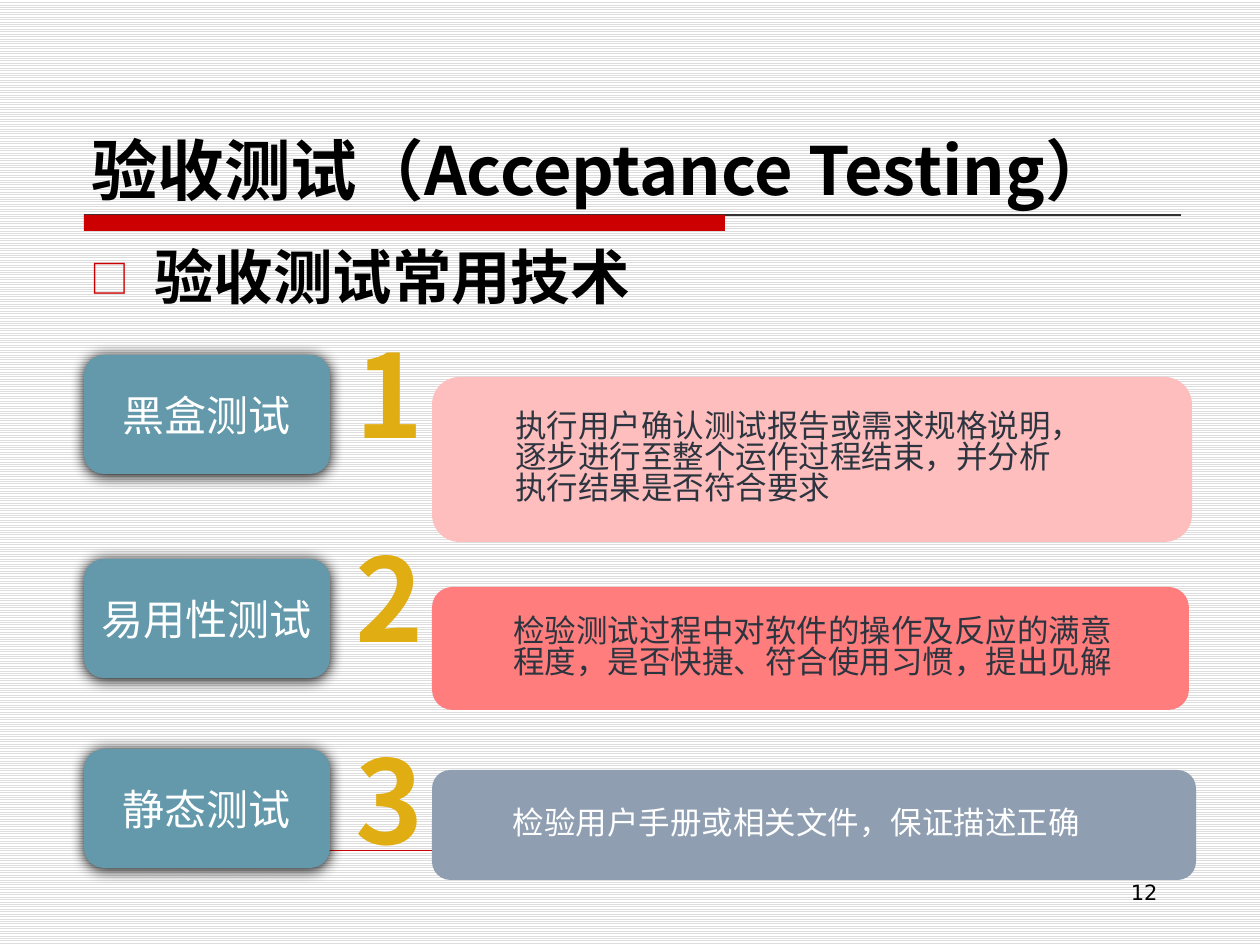
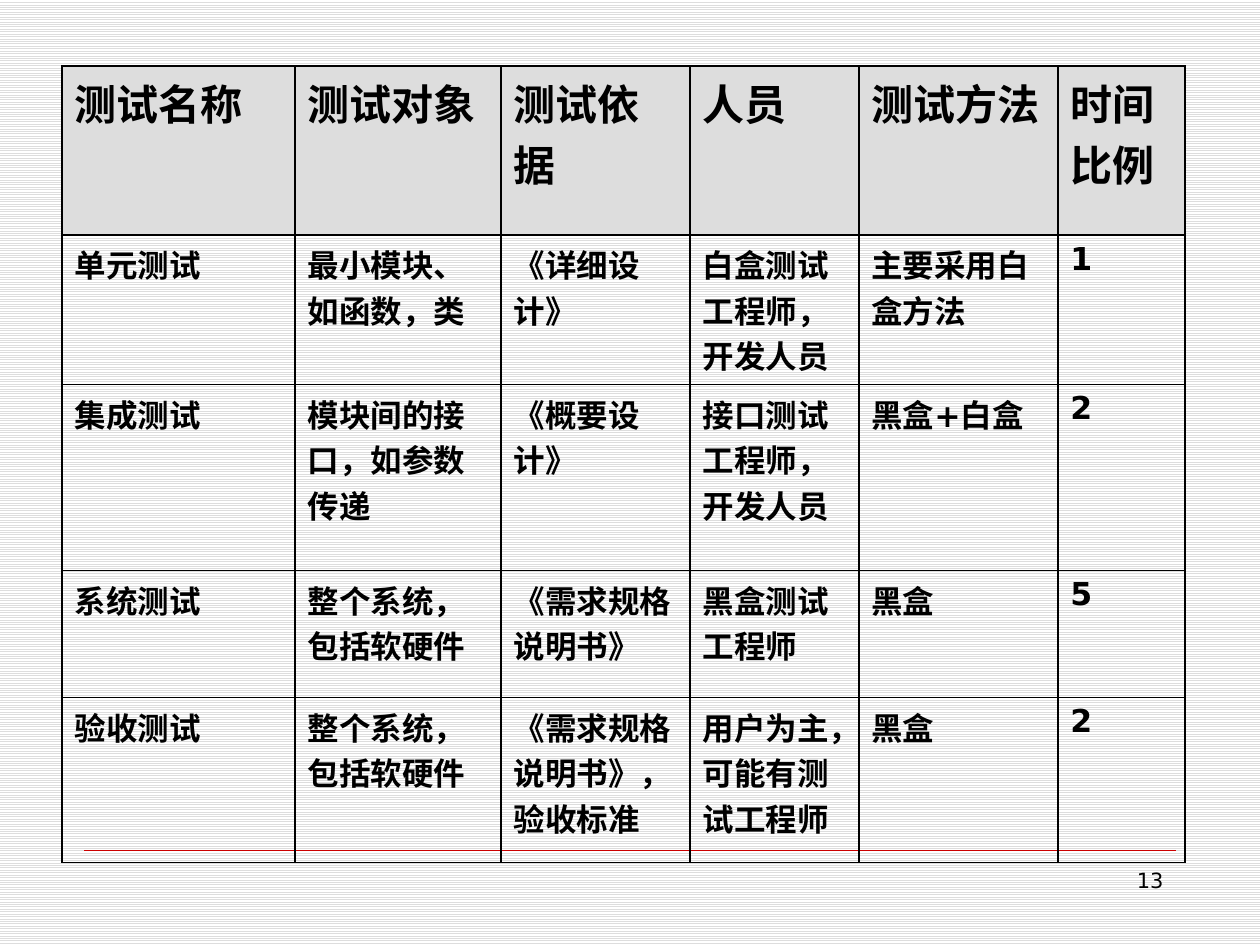
import pptx
import pptx.dml.color
import pptx.enum.dml
import pptx.enum.shapes
import pptx.enum.text
import pptx.oxml
import pptx.oxml.ns
import pptx.util
from lxml import etree

PIXEL = 914400 / 126
SLIDE_SIZE = (1260, 945)
LATIN_FONT = "DejaVu Sans"
CHINESE_FONT = "Noto Sans CJK SC"
NUMBER_FONT = "Noto Sans CJK JP"
BLACK, WHITE, RED, GREY = "000000", "FFFFFF", "CC0000", "DDDDDD"
TEAL, GOLD, INK = "6399AB", "E0AD12", "2C353F"
ALIGN = pptx.enum.text.PP_ALIGN
ANCHOR = pptx.enum.text.MSO_ANCHOR
SHAPE = pptx.enum.shapes.MSO_SHAPE

# label, label top, panel box, panel colour, text colour, panel lines
TECHNIQUES = [
    ("黑盒测试", 355, (432, 377, 760, 165), "FFBEBE", INK,
     ["执行用户确认测试报告或需求规格说明，", "逐步进行至整个运作过程结束，并分析", "执行结果是否符合要求"]),
    ("易用性测试", 559, (432, 587, 757, 123), "FF7D7D", INK,
     ["检验测试过程中对软件的操作及反应的满意", "程度，是否快捷、符合使用习惯，提出见解"]),
    ("静态测试", 749, (432, 770, 764, 110), "8F9FB1", WHITE,
     ["检验用户手册或相关文件，保证描述正确"]),
]
NUMBER_TOPS = [335, 539, 741]

COLUMN_WIDTHS = [233, 206, 189, 169, 199, 127]
ROW_HEIGHTS = [169, 149, 186, 127, 165]
TEST_ROWS = [
    ["测试名称", "测试对象", "测试依据", "人员", "测试方法", "时间比例"],
    ["单元测试", "最小模块、如函数，类", "《详细设计》", "白盒测试工程师，开发人员", "主要采用白盒方法", "1"],
    ["集成测试", "模块间的接口，如参数传递", "《概要设计》", "接口测试工程师，开发人员", "黑盒+白盒", "2"],
    ["系统测试", "整个系统，包括软硬件", "《需求规格说明书》", "黑盒测试工程师", "黑盒", "5"],
    ["验收测试", "整个系统，包括软硬件", "《需求规格说明书》，验收标准",
     "用户为主，可能有测试工程师", "黑盒", "2"],
]


def px(length):
    return pptx.util.Emu(round(length * PIXEL))


def color(value):
    return pptx.dml.color.RGBColor.from_string(value)


def add_element(parent, tag, **attributes):
    element = etree.SubElement(parent, pptx.oxml.ns.qn(tag))
    for name, value in attributes.items():
        element.set(name, str(value))
    return element


def write(text_frame, lines, size, font_color, font=CHINESE_FONT, bold=False,
          align=ALIGN.LEFT, spacing=None, anchor=ANCHOR.TOP):
    text_frame.word_wrap = True
    text_frame.vertical_anchor = anchor
    text_frame.text = "\n".join(lines)
    for paragraph in text_frame.paragraphs:
        paragraph.alignment = align
        if spacing:
            paragraph.line_spacing = spacing
        for run in paragraph.runs:
            run.font.size = pptx.util.Pt(size)
            run.font.bold = bold
            run.font.name = font
            run.font.color.rgb = color(font_color)
            east_asian = CHINESE_FONT if font == LATIN_FONT else font
            add_element(run.font._element, "a:ea", typeface=east_asian)


def add_text(slide, box, lines, size, font_color, **style):
    shape = slide.shapes.add_textbox(*map(px, box))
    write(shape.text_frame, lines, size, font_color, **style)
    return shape


def add_block(slide, kind, box, fill):
    shape = slide.shapes.add_shape(kind, *map(px, box))
    shape.shadow.inherit = False
    shape.fill.solid()
    shape.fill.fore_color.rgb = color(fill)
    shape.line.fill.background()
    return shape


def add_line(slide, left, right, top, line_color, width):
    line = slide.shapes.add_connector(
        pptx.enum.shapes.MSO_CONNECTOR.STRAIGHT, px(left), px(top), px(right), px(top))
    line.line.color.rgb = color(line_color)
    line.line.width = pptx.util.Pt(width)
    add_element(line._element.spPr, "a:effectLst")


def add_base_slide(presentation):
    slide = presentation.slides.add_slide(presentation.slide_layouts[6])
    fill = slide.background.fill
    fill.patterned()
    fill.pattern = pptx.enum.dml.MSO_PATTERN.LIGHT_HORIZONTAL
    fill.fore_color.rgb = color(GREY)
    fill.back_color.rgb = color(WHITE)
    add_line(slide, 84, 1176, 850, RED, 0.25)
    return slide


def add_page_number(slide, left, top, number):
    add_text(slide, (left, top, 273, 66), [str(number)], 12, BLACK,
             font=LATIN_FONT, align=ALIGN.RIGHT)


def add_title(slide, box, title):
    left, top, width, height = box
    shape = add_text(slide, box, [title], 38, BLACK, bold=True, anchor=ANCHOR.BOTTOM)
    shape.text_frame.margin_bottom = 0
    # Rule with a heavy red start
    rule_left, rule_top = left + 5, top + height + 6
    add_line(slide, rule_left, left + width, rule_top, "333333", 0.75)
    add_block(slide, SHAPE.RECTANGLE, (rule_left, rule_top, 641, 16), RED)


def add_bullet_heading(slide, box, heading):
    shape = add_text(slide, box, [heading], 34, BLACK, font=LATIN_FONT, bold=True, spacing=0.9)
    properties = shape.text_frame.paragraphs[0]._p.get_or_add_pPr()
    properties.set("marL", str(px(64)))
    properties.set("indent", str(px(-64)))
    add_element(add_element(properties, "a:buClr"), "a:srgbClr", val=RED)
    add_element(properties, "a:buSzPct", val=65000)
    add_element(properties, "a:buFont", typeface=CHINESE_FONT)
    add_element(properties, "a:buChar", char="□")


def add_label(slide, box, label):
    shape = add_block(slide, SHAPE.ROUNDED_RECTANGLE, box, TEAL)
    frame = shape.text_frame
    frame.margin_left = frame.margin_right = px(6)
    write(frame, [label], 24, WHITE, align=ALIGN.CENTER, anchor=ANCHOR.MIDDLE)
    effects = shape._element.spPr.find(pptx.oxml.ns.qn("a:effectLst"))
    shadow = add_element(effects, "a:outerShdw", blurRad=pptx.util.Pt(8.5),
                         dist=pptx.util.Pt(1), dir=5400000, algn="ctr", rotWithShape=0)
    add_element(shadow, "a:srgbClr", val=BLACK)


def add_panel(slide, box, fill, font_color, lines):
    shape = add_block(slide, SHAPE.ROUNDED_RECTANGLE, box, fill)
    write(shape.text_frame, lines, 18, font_color, spacing=0.82, anchor=ANCHOR.MIDDLE)
    for paragraph in shape.text_frame.paragraphs:
        paragraph._p.get_or_add_pPr().set("marL", str(px(63)))


def build_techniques_slide(presentation):
    slide = add_base_slide(presentation)
    add_title(slide, (79, 42, 1102, 167), "验收测试（Acceptance Testing）")
    add_bullet_heading(slide, (78, 242, 1102, 90), "验收测试常用技术")
    for index, (label, top, panel_box, fill, font_color, lines) in enumerate(TECHNIQUES):
        add_label(slide, (84, top, 246, 119), label)
        add_text(slide, (343, NUMBER_TOPS[index], 101, 140), [str(index + 1)], 66, GOLD,
                 font=NUMBER_FONT, bold=True, spacing=0.88)
        add_panel(slide, panel_box, fill, font_color, lines)
    add_page_number(slide, 897, 873, 12)


def format_cell(cell, text, is_header):
    write(cell.text_frame, [text], 24 if is_header else 18, BLACK, font=LATIN_FONT, bold=True)
    properties = cell._tc.get_or_add_tcPr()
    for side in ("a:lnL", "a:lnR", "a:lnT", "a:lnB"):
        border = add_element(properties, side, w=pptx.util.Pt(1))
        add_element(add_element(border, "a:solidFill"), "a:srgbClr", val=BLACK)
    if is_header:
        cell.fill.solid()
        cell.fill.fore_color.rgb = color(GREY)
    else:
        cell.fill.background()


def add_test_table(slide, left, top):
    table = slide.shapes.add_table(
        len(ROW_HEIGHTS), len(COLUMN_WIDTHS), px(left), px(top),
        px(sum(COLUMN_WIDTHS)), px(sum(ROW_HEIGHTS))).table
    table.horz_banding = False
    table.first_row = False
    for column, width in zip(table.columns, COLUMN_WIDTHS):
        column.width = px(width)
    for row_index, (row, height) in enumerate(zip(table.rows, ROW_HEIGHTS)):
        row.height = px(height)
        for cell, text in zip(row.cells, TEST_ROWS[row_index]):
            format_cell(cell, text, row_index == 0)


def build_comparison_slide(presentation):
    slide = add_base_slide(presentation)
    add_test_table(slide, 62, 66)
    add_page_number(slide, 903, 861, 13)


def main():
    presentation = pptx.Presentation()
    presentation.slide_width, presentation.slide_height = map(px, SLIDE_SIZE)
    build_techniques_slide(presentation)
    build_comparison_slide(presentation)
    presentation.save("out.pptx")


if __name__ == "__main__":
    main()
